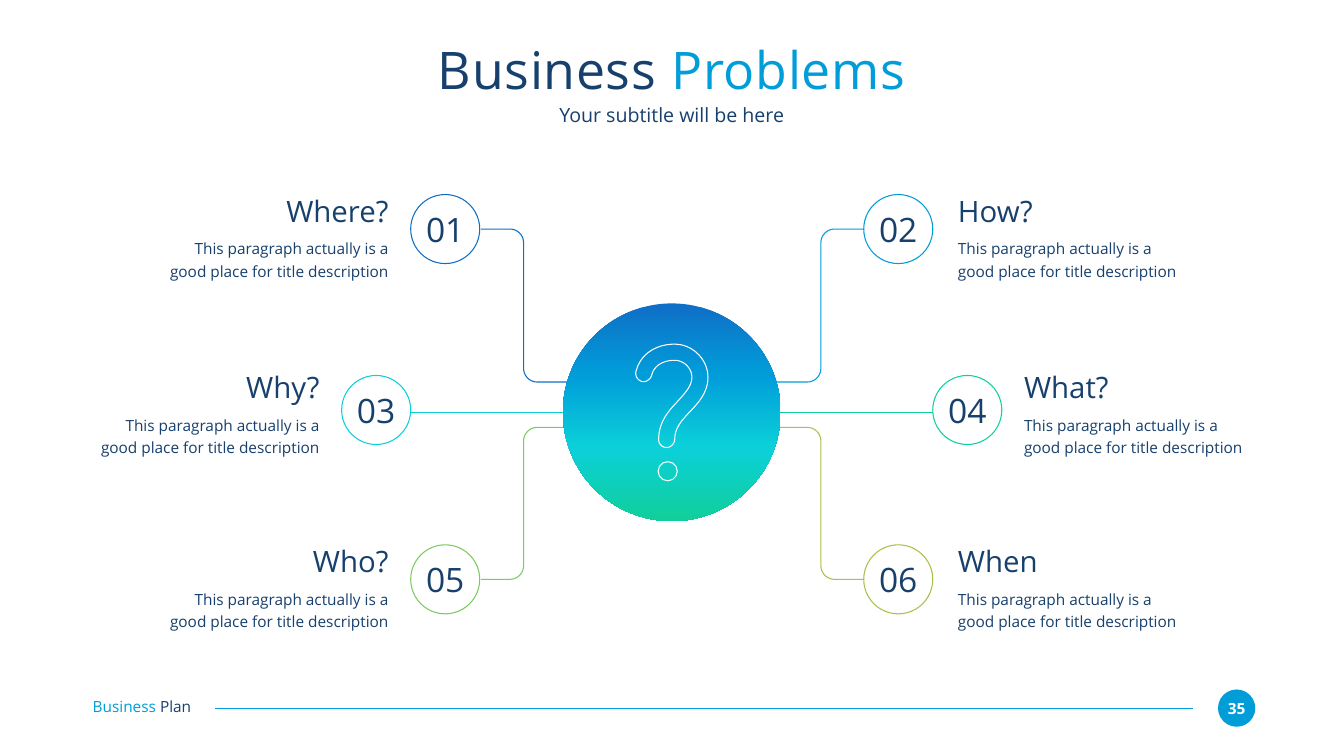
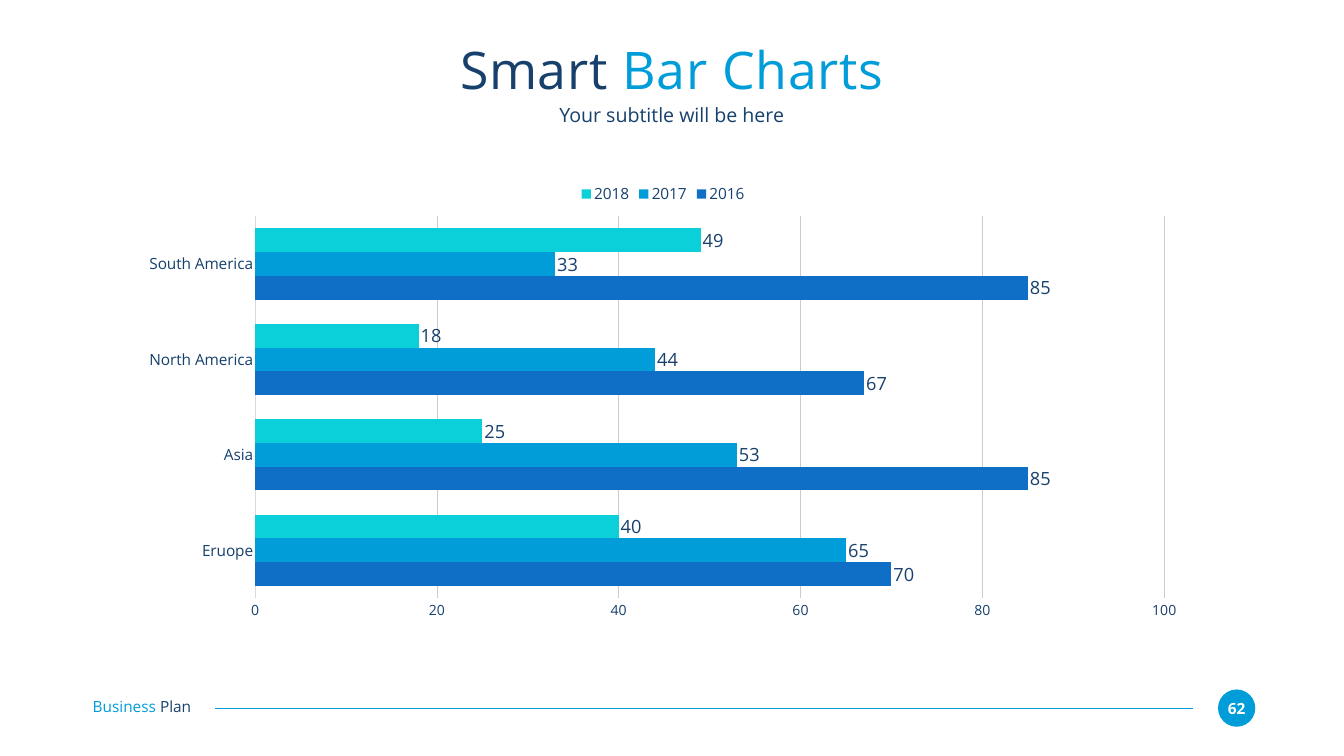
from dataclasses import dataclass
from lxml.etree import SubElement
from pptx import Presentation
from pptx.chart.data import CategoryChartData as ChartData
from pptx.dml.color import RGBColor as RGB
from pptx.enum.chart import XL_CHART_TYPE as Kind, XL_LABEL_POSITION as Spot
from pptx.enum.chart import XL_LEGEND_POSITION as Legend, XL_TICK_MARK as Tick
from pptx.enum.shapes import MSO_CONNECTOR as Link, MSO_SHAPE as Form
from pptx.enum.text import MSO_ANCHOR as Anchor, PP_ALIGN as Align
from pptx.oxml.ns import qn
from pptx.util import Inches, Pt


@dataclass(frozen=True)
class Theme:
    font: str = "Open Sans"
    navy: str = "17406D"
    blue: str = "0F6FC6"
    sky: str = "009DD9"
    aqua: str = "0BD0D9"
    mint: str = "10CF9B"
    green: str = "7CCA62"
    olive: str = "A5C249"
    white: str = "FFFFFF"
    grid: str = "CCCCCC"
    axis: str = "D9D9D9"
    title: int = 74
    number: int = 48
    head: int = 42
    sub: int = 28
    label: int = 26
    body: int = 22
    tick: int = 20
    line: float = 1.5


T = Theme()
WIDE, HIGH = 26.67, 15
DISC = (11.17, 6.02, 4.32, 4.32)
RING = 1.37
NOTE = "This paragraph actually is a good place for title description"

# Number, heading, colour, ring corner, text left, text top, text width
TOPICS = [
    ("01", "Where?", T.blue, (8.15, 3.86), 3.13, 3.83, 4.58),
    ("02", "How?", T.sky, (17.14, 3.86), 19.01, 3.83, 4.58),
    ("03", "Why?", T.aqua, (6.78, 7.45), 1.83, 7.33, 4.51),
    ("04", "What?", T.mint, (18.51, 7.45), 20.32, 7.33, 4.51),
    ("05", "Who?", T.green, (8.15, 10.81), 3.13, 10.78, 4.58),
    ("06", "When", T.olive, (17.14, 10.81), 19.01, 10.78, 4.58),
]

# Question mark as cubic curves, measured from the corner of the disc
MARK = [
    [(1.95, .79), (1.55, .94), (1.45, 1.35)],
    [(1.43, 1.44), (1.48, 1.52), (1.57, 1.55)],
    [(1.6, 1.56), (1.65, 1.55), (1.68, 1.53)],
    [(1.72, 1.5), (1.75, 1.47), (1.76, 1.43)],
    [(1.81, 1.21), (2.03, 1.12), (2.24, 1.13)],
    [(2.41, 1.14), (2.56, 1.29), (2.56, 1.46)],
    [(2.56, 1.63), (2.45, 1.75), (2.29, 1.93)],
    [(2.11, 2.12), (1.9, 2.34), (1.9, 2.7)],
    [(1.9, 2.79), (1.97, 2.86), (2.06, 2.86)],
    [(2.14, 2.86), (2.22, 2.78), (2.22, 2.69)],
    [(2.22, 2.47), (2.36, 2.32), (2.52, 2.15)],
    [(2.69, 1.97), (2.88, 1.77), (2.88, 1.46)],
    [(2.88, 1.13), (2.6, .83), (2.26, .81)],
]
MARK_TOP = (2.26, .81)

SERIES = [
    ("2016", T.blue, (70, 85, 67, 85)),
    ("2017", T.sky, (65, 53, 44, 33)),
    ("2018", T.aqua, (40, 25, 18, 49)),
]


# Basic parts
def hue(code):
    return RGB.from_string(code)


def style(font, size, color=T.navy, bold=False):
    font.name, font.size, font.bold = T.font, Pt(size), bold
    font.color.rgb = hue(color)


def write(frame, runs, size, align=Align.LEFT, bold=False, gap=None, track=None):
    frame.margin_left = frame.margin_right = 0
    frame.margin_top = frame.margin_bottom = 0
    frame.word_wrap = True
    para = frame.paragraphs[0]
    para.alignment = align
    if gap:
        para.line_spacing = gap
    for text, color in runs:
        run = para.add_run()
        run.text = text
        style(run.font, size, color, bold)
        if track:
            run._r.get_or_add_rPr().set("spc", str(track))


def label(slide, box, runs, size, **opts):
    shape = slide.shapes.add_textbox(*map(Inches, box))
    write(shape.text_frame, runs, size, **opts)
    return shape


def paint(shape, fill=None, line=None):
    shape.shadow.inherit = False
    if fill:
        shape.fill.solid()
        shape.fill.fore_color.rgb = hue(fill)
    else:
        shape.fill.background()
    if line:
        shape.line.color.rgb = hue(line)
        shape.line.width = Pt(T.line)
    else:
        shape.line.fill.background()


def oval(slide, box, fill=None, line=None):
    shape = slide.shapes.add_shape(Form.OVAL, *map(Inches, box))
    paint(shape, fill, line)
    shape.text_frame.vertical_anchor = Anchor.MIDDLE
    return shape


def rule(slide, start, end, color):
    line = slide.shapes.add_connector(Link.STRAIGHT, *map(Inches, start + end))
    line.line.color.rgb = hue(color)
    line.line.width = Pt(T.line)
    SubElement(line._element.spPr, qn("a:effectLst"))


def bend(start, one, two, end, steps=10):
    """Points along a cubic curve, without its start."""
    points = []
    for i in range(1, steps + 1):
        t = i / steps
        u = 1 - t
        parts = zip((u**3, 3 * u * u * t, 3 * u * t * t, t**3),
                    (start, one, two, end))
        pairs = [(w * x, w * y) for w, (x, y) in parts]
        points.append(tuple(map(sum, zip(*pairs))))
    return points


def trace(slide, points, color, close=False):
    spots = [(Inches(x), Inches(y)) for x, y in points]
    pen = slide.shapes.build_freeform(*spots[0], scale=1.0)
    pen.add_line_segments(spots[1:], close=close)
    paint(pen.convert_to_shape(), line=color)


# Frame that every slide shares
def start(deck, dark, light, page):
    slide = deck.slides.add_slide(deck.slide_layouts[5])
    title = slide.shapes.title
    title.left, title.top = Inches(1.83), Inches(.73)
    title.width, title.height = Inches(23), Inches(1.27)
    title.text_frame.vertical_anchor = Anchor.MIDDLE
    write(title.text_frame, [(dark, T.navy), (light, T.sky)], T.title,
          align=Align.CENTER, track=100)
    sub = label(slide, (1.83, 2.03, 23, .49),
                [("Your subtitle will be here", T.navy)], T.sub,
                align=Align.CENTER)
    sub.text_frame.vertical_anchor = Anchor.MIDDLE
    footer(slide, (1.84, 13.68, 23.07, .74), page)
    return slide


def footer(slide, box, page):
    left, top, width, size = box
    mid, right = top + size / 2, left + width
    badge = oval(slide, (right - size, top, size, size), T.sky)
    write(badge.text_frame, [(page, T.white)], T.body,
          align=Align.CENTER, bold=True)
    rule(slide, (right - 1.24, mid), (left + 2.43, mid), T.sky)
    label(slide, (left, top + .16, 2.4, .37),
          [("Business ", T.sky), ("Plan", T.navy)], T.body)


# Problem map
def elbow(slide, begin, end, color, run=.85, turn=.27):
    (x, y), (far, low) = begin, end
    across = 1 if far > x else -1
    down = 1 if low > y else -1
    mid, r, k = x + across * run, turn, turn * .45
    first = (mid - across * r, y)
    second = (mid, low - down * r)
    points = [begin, first]
    points += bend(first, (mid - across * k, y), (mid, y + down * k),
                   (mid, y + down * r))
    points.append(second)
    points += bend(second, (mid, low - down * k), (mid + across * k, low),
                   (mid + across * r, low))
    trace(slide, points + [end], color)


def topic(slide, item):
    number, head, color, (x, y), left, top, width = item
    is_left = x < WIDE / 2
    inner = x + RING if is_left else x
    edge = 11.39 if is_left else 15.3
    center, hub = y + RING / 2, DISC[1] + DISC[3] / 2
    # Link to the disc
    if abs(center - hub) < .1:
        rule(slide, (edge, hub), (inner, hub), color)
    else:
        low = 7.58 if center < hub else 8.48
        port = 9.54 if is_left else 17.14
        elbow(slide, (port, center), (edge, low), color)
    # Ring and words
    ring = oval(slide, (x, y, RING, RING), line=color)
    write(ring.text_frame, [(number, T.navy)], T.number, align=Align.CENTER)
    align = Align.RIGHT if is_left else Align.LEFT
    label(slide, (left, top, width, .71), [(head, T.navy)], T.head, align=align)
    label(slide, (left, top + .85, width, .89), [(NOTE, T.navy)], T.body,
          align=align, gap=1.2)


def hub(slide, box):
    left, top = box[:2]
    disc = oval(slide, box, T.sky)
    disc.fill.gradient()
    disc.fill.gradient_angle = 270
    stops = disc._element.spPr.find(qn("a:gradFill")).find(qn("a:gsLst"))
    for old in list(stops):
        stops.remove(old)
    for pos, color in zip((0, 33, 66, 100), (T.blue, T.sky, T.aqua, T.mint)):
        stop = SubElement(stops, qn("a:gs"), pos=str(pos * 1000))
        SubElement(stop, qn("a:srgbClr"), val=color)
    # Question mark
    points = [MARK_TOP]
    for curve in MARK:
        points += bend(points[-1], *curve)
    trace(slide, [(left + x, top + y) for x, y in points], T.white, close=True)
    oval(slide, (left + 1.89, top + 3.14, .38, .38), line=T.white)


def problems(deck):
    slide = start(deck, "Business ", "Problems", "35")
    for item in TOPICS:
        topic(slide, item)
    hub(slide, DISC)


# Bar chart
def bars(slide, box):
    data = ChartData()
    data.categories = ["Eruope", "Asia", "North America", "South America"]
    for name, _, values in SERIES:
        data.add_series(name, values)
    chart = slide.shapes.add_chart(
        Kind.BAR_CLUSTERED, *map(Inches, box), data).chart
    style(chart.font, T.body)
    chart.has_title = False
    chart.has_legend = True
    chart.legend.position = Legend.TOP
    chart.legend.include_in_layout = False
    style(chart.legend.font, T.body)
    plot = chart.plots[0]
    plot.gap_width, plot.overlap, plot.vary_by_categories = 102, 0, False
    for series, (_, color, _) in zip(plot.series, SERIES):
        series.format.fill.solid()
        series.format.fill.fore_color.rgb = hue(color)
        tags = series.data_labels
        tags.show_value = True
        tags.position = Spot.OUTSIDE_END
        style(tags.font, T.label)
    # Axes
    cats, vals = chart.category_axis, chart.value_axis
    for axis, size in ((cats, T.body), (vals, T.tick)):
        axis.major_tick_mark = axis.minor_tick_mark = Tick.NONE
        style(axis.tick_labels.font, size)
    cats.format.line.color.rgb = hue(T.axis)
    cats.format.line.width = Pt(.75)
    vals.format.line.fill.background()
    vals.minimum_scale, vals.maximum_scale, vals.major_unit = 0, 100, 20
    vals.has_major_gridlines = True
    vals.major_gridlines.format.line.color.rgb = hue(T.grid)
    vals.major_gridlines.format.line.width = Pt(1)


def regions(deck):
    slide = start(deck, "Smart ", "Bar Charts", "62")
    bars(slide, (2.54, 3.51, 21.23, 8.96))


def main():
    deck = Presentation()
    deck.slide_width, deck.slide_height = Inches(WIDE), Inches(HIGH)
    problems(deck)
    regions(deck)
    deck.save("out.pptx")


if __name__ == "__main__":
    main()
